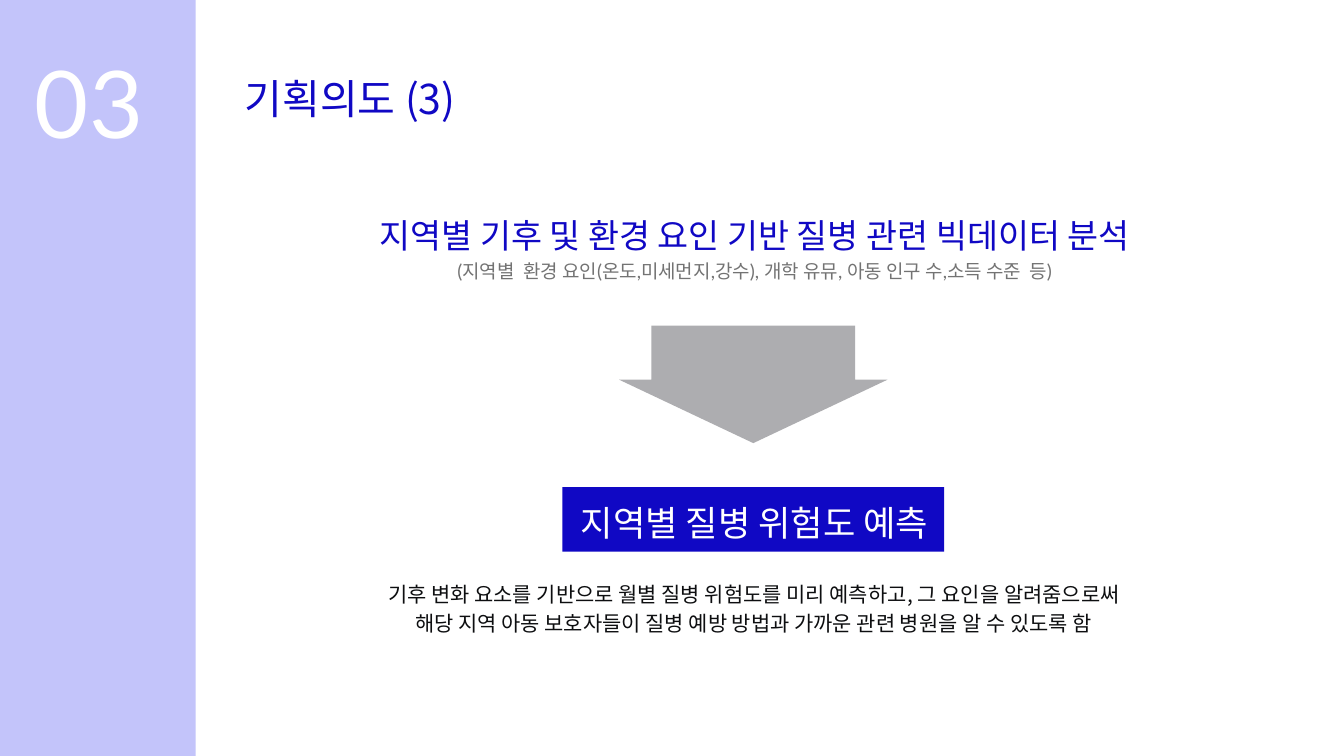
from pptx import Presentation
from pptx.dml.color import RGBColor
from pptx.enum.shapes import MSO_SHAPE as Preset
from pptx.enum.text import MSO_ANCHOR as Anchor, MSO_AUTO_SIZE as AutoSize, PP_ALIGN as Align
from pptx.oxml.ns import qn
from pptx.util import Pt
from lxml.etree import SubElement

BLUE = RGBColor(0x10, 0x08, 0xC4)
LAVENDER = RGBColor(0xC3, 0xC4, 0xFA)
ARROW_GRAY = RGBColor(0xAD, 0xAD, 0xB0)
NOTE_GRAY = RGBColor(0x73, 0x73, 0x73)
INK = RGBColor(0x0D, 0x0E, 0x10)
WHITE = RGBColor(0xFF, 0xFF, 0xFF)


class SlideBuilder:
    """Adds plain shapes and exactly spaced text to one slide, in points."""

    latin = "Lato"
    korean = "Noto Sans CJK SC"
    leading = 1.4

    def __init__(self, slide):
        self.slide = slide

    def block(self, preset, left, top, width, height, color):
        block = self.slide.shapes.add_shape(preset, Pt(left), Pt(top), Pt(width), Pt(height))
        block.shadow.inherit = False
        block.fill.solid()
        block.fill.fore_color.rgb = color
        block.line.fill.background()
        return block

    def title(self, left, top, width, height, *lines):
        heading = self.slide.shapes.title
        heading.left, heading.top = Pt(left), Pt(top)
        heading.width, heading.height = Pt(width), Pt(height)
        self.fill_frame(heading.text_frame, lines, Align.LEFT, self.korean)

    def text(self, left, top, width, height, *lines, align=Align.CENTER, face=latin):
        box = self.slide.shapes.add_textbox(Pt(left), Pt(top), Pt(width), Pt(height))
        self.fill_frame(box.text_frame, lines, align, face)

    def fill_frame(self, frame, lines, align, face):
        frame.margin_left = frame.margin_top = frame.margin_right = frame.margin_bottom = 0
        frame.word_wrap = True
        frame.auto_size = AutoSize.SHAPE_TO_FIT_TEXT
        frame.vertical_anchor = Anchor.TOP
        for index, (words, size, color) in enumerate(lines):
            paragraph = frame.add_paragraph() if index else frame.paragraphs[0]
            paragraph.alignment = align
            paragraph.line_spacing = Pt(round(size * self.leading, 1))
            run = paragraph.add_run()
            run.text = words
            run.font.size = Pt(size)
            run.font.color.rgb = color
            run.font.name = face
            SubElement(run._r.get_or_add_rPr(), qn("a:ea"), typeface=self.korean)


def main():
    deck = Presentation()
    deck.slide_width, deck.slide_height = Pt(1440), Pt(810)
    page = SlideBuilder(deck.slides.add_slide(deck.slide_layouts[5]))

    page.block(Preset.RECTANGLE, 0, 0, 209.5, 810, LAVENDER)
    arrow = page.block(Preset.DOWN_ARROW, 663.4, 349, 287.5, 125.8, ARROW_GRAY)
    arrow.adjustments[0], arrow.adjustments[1] = 0.76, 0.54
    page.block(Preset.RECTANGLE, 602.6, 522, 409, 69.1, BLUE)

    page.title(262.1, 69.8, 233.3, 59, ("기획의도 (3)", 44, BLUE))
    page.text(37.4, 28.1, 132.5, 134.6, ("03", 100, WHITE), align=Align.LEFT)
    page.text(
        327.6, 618.5, 960.5, 61.9,
        ("기후 변화 요소를 기반으로 월별 질병 위험도를 미리 예측하고, 그 요인을 알려줌으로써", 22.4, INK),
        ("해당 지역 아동 보호자들이 질병 예방 방법과 가까운 관련 병원을 알 수 있도록 함", 22.4, INK),
        face=page.korean,
    )
    page.text(
        363.6, 223.2, 889.9, 78.5,
        ("지역별 기후 및 환경 요인 기반 질병 관련 빅데이터 분석", 36.1, BLUE),
        ("(지역별  환경 요인(온도,미세먼지,강수), 개학 유뮤, 아동 인구 수,소득 수준  등)", 20.3, NOTE_GRAY),
    )
    page.text(491.8, 529.9, 632.9, 49.7, ("지역별 질병 위험도 예측", 37.7, WHITE))

    deck.save("out.pptx")


if __name__ == "__main__":
    main()
